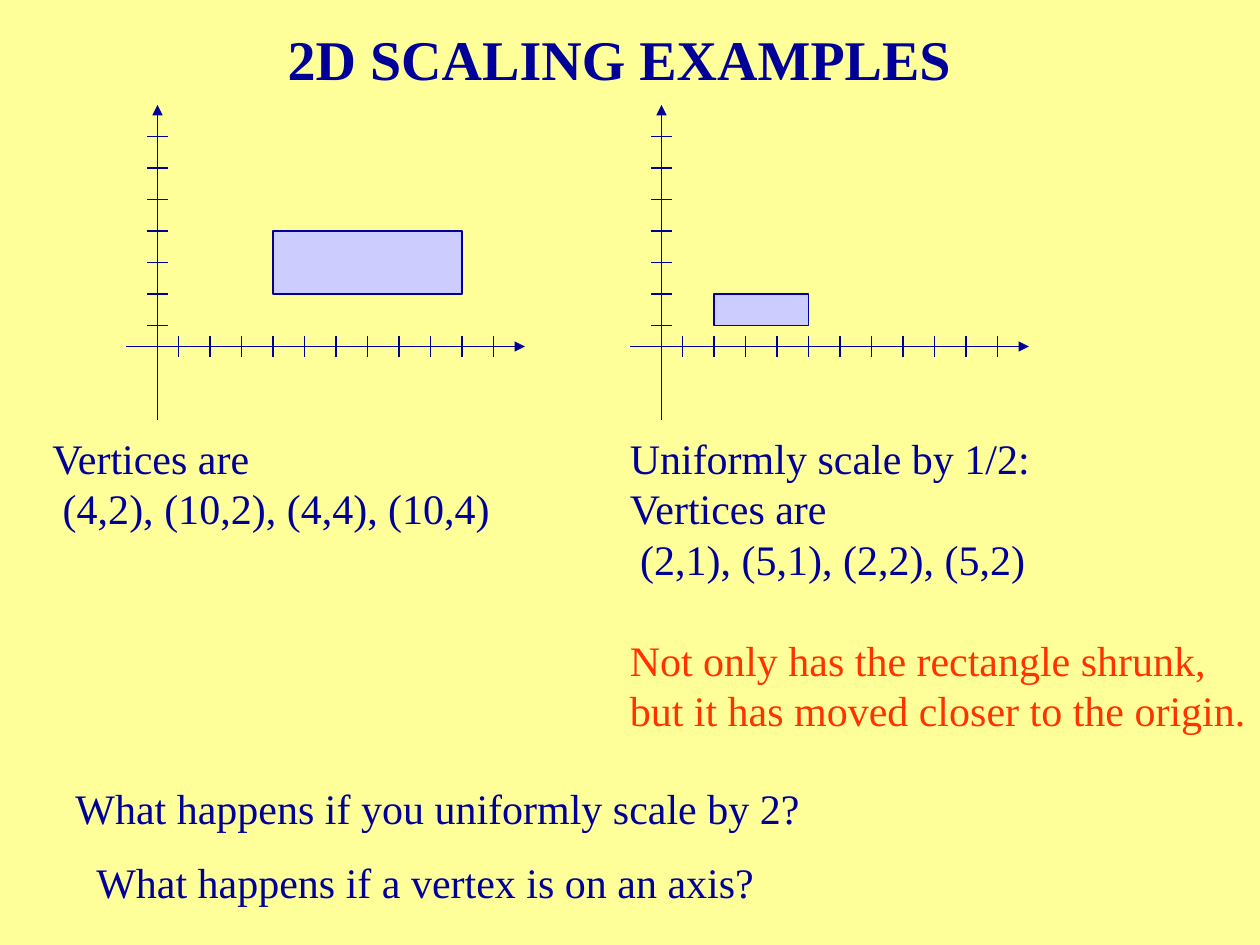
from lxml import etree
from pptx import Presentation
from pptx import util as u
from pptx.dml.color import RGBColor
from pptx.enum import shapes, text
from pptx.oxml.ns import qn

PX = 7620  # EMU per px, 120 px to the inch
NAVY = RGBColor(0x00, 0x00, 0x99)
RED = RGBColor(0xFF, 0x33, 0x00)
LILAC = RGBColor(0xCC, 0xCC, 0xFF)
CREAM = RGBColor(0xFF, 0xFF, 0x99)

UNIT = 30
TICK = 10
X_TICKS, Y_TICKS = 11, 7
AXIS_Y = 330


class ScalingSlide:
    font = "Times New Roman"
    body_size = u.Pt(24)
    line_height = u.Pt(28.8)
    line_width = u.Pt(0.75)

    def __init__(self, presentation):
        self.slide = presentation.slides.add_slide(presentation.slide_layouts[5])
        fill = self.slide.background.fill
        fill.solid()
        fill.fore_color.rgb = CREAM

    def style(self, paragraph, size, color, bold=False):
        for run in paragraph.runs:
            run.font.name = self.font
            run.font.size = size
            run.font.bold = bold
            run.font.color.rgb = color

    def title(self, words, left, top, width, height):
        heading = self.slide.shapes.title
        heading.left, heading.top = left * PX, top * PX
        heading.width, heading.height = width * PX, height * PX
        frame = heading.text_frame
        frame.text = words
        frame.vertical_anchor = text.MSO_ANCHOR.MIDDLE
        frame.paragraphs[0].alignment = text.PP_ALIGN.CENTER
        self.style(frame.paragraphs[0], u.Pt(32), NAVY, bold=True)

    def note(self, lines, left, top, width, height, red_from=None):
        """Write one paragraph a line; from line red_from on, set apart in red."""
        box = self.slide.shapes.add_textbox(left * PX, top * PX, width * PX, height * PX)
        frame = box.text_frame
        frame.text = "\n".join(lines)
        frame.word_wrap = True
        frame.auto_size = text.MSO_AUTO_SIZE.SHAPE_TO_FIT_TEXT
        for index, paragraph in enumerate(frame.paragraphs):
            is_red = red_from is not None and index >= red_from
            paragraph.line_spacing = self.line_height
            if index == red_from:
                paragraph.space_before = self.line_height
            self.style(paragraph, self.body_size, RED if is_red else NAVY)

    def line(self, group, x1, y1, x2, y2, arrow=False):
        connector = group.shapes.add_connector(
            shapes.MSO_CONNECTOR.STRAIGHT, x1 * PX, y1 * PX, x2 * PX, y2 * PX)
        connector.line.color.rgb = NAVY
        connector.line.width = self.line_width
        if arrow:
            etree.SubElement(connector.line._get_or_add_ln(), qn("a:tailEnd"), type="triangle")
        etree.SubElement(connector._element.spPr, qn("a:effectLst"))

    def rectangle(self, group, left, top, width, height):
        rect = group.shapes.add_shape(
            shapes.MSO_SHAPE.RECTANGLE, left * PX, top * PX, width * PX, height * PX)
        rect.shadow.inherit = False
        rect.fill.solid()
        rect.fill.fore_color.rgb = LILAC
        rect.line.color.rgb = NAVY
        rect.line.width = self.line_width

    def plot(self, axis_x, low, high):
        """Draw axes and the rectangle between two corners given in tick units."""
        group = self.slide.shapes.add_group_shape()
        # The first tick stands 20 px from the axis, the rest a unit apart.
        x_ticks = [axis_x + 20 + UNIT * i for i in range(X_TICKS)]
        y_ticks = [AXIS_Y - 20 - UNIT * i for i in range(Y_TICKS)]
        left, bottom = x_ticks[low[0] - 1], y_ticks[low[1] - 1]
        right, top = x_ticks[high[0] - 1], y_ticks[high[1] - 1]
        self.rectangle(group, left, top, right - left, bottom - top)
        self.line(group, axis_x, AXIS_Y + 70, axis_x, AXIS_Y - 230, arrow=True)
        self.line(group, axis_x - 30, AXIS_Y, axis_x + 350, AXIS_Y, arrow=True)
        for x in x_ticks:
            self.line(group, x, AXIS_Y - TICK, x, AXIS_Y + TICK)
        for y in y_ticks:
            self.line(group, axis_x - TICK, y, axis_x + TICK, y)


def main():
    presentation = Presentation()
    presentation.slide_width, presentation.slide_height = 1200 * PX, 900 * PX
    page = ScalingSlide(presentation)
    page.title("2D SCALING EXAMPLES", 80, 20, 1020, 70)
    page.plot(150, low=(4, 2), high=(10, 4))
    page.plot(630, low=(2, 1), high=(5, 2))
    page.note(["Vertices are", " (4,2), (10,2), (4,4), (10,4)"], 38, 406, 450, 108)
    page.note(
        ["Uniformly scale by 1/2:", "Vertices are", " (2,1), (5,1), (2,2), (5,2)",
         "Not only has the rectangle shrunk,", "but it has moved closer to the origin."],
        588, 406, 612, 300, red_from=3)
    page.note(["What happens if you uniformly scale by 2?"], 60, 739, 1120, 60)
    page.note(["What happens if a vertex is on an axis?"], 80, 810, 665, 60)
    presentation.save("out.pptx")


if __name__ == "__main__":
    main()
